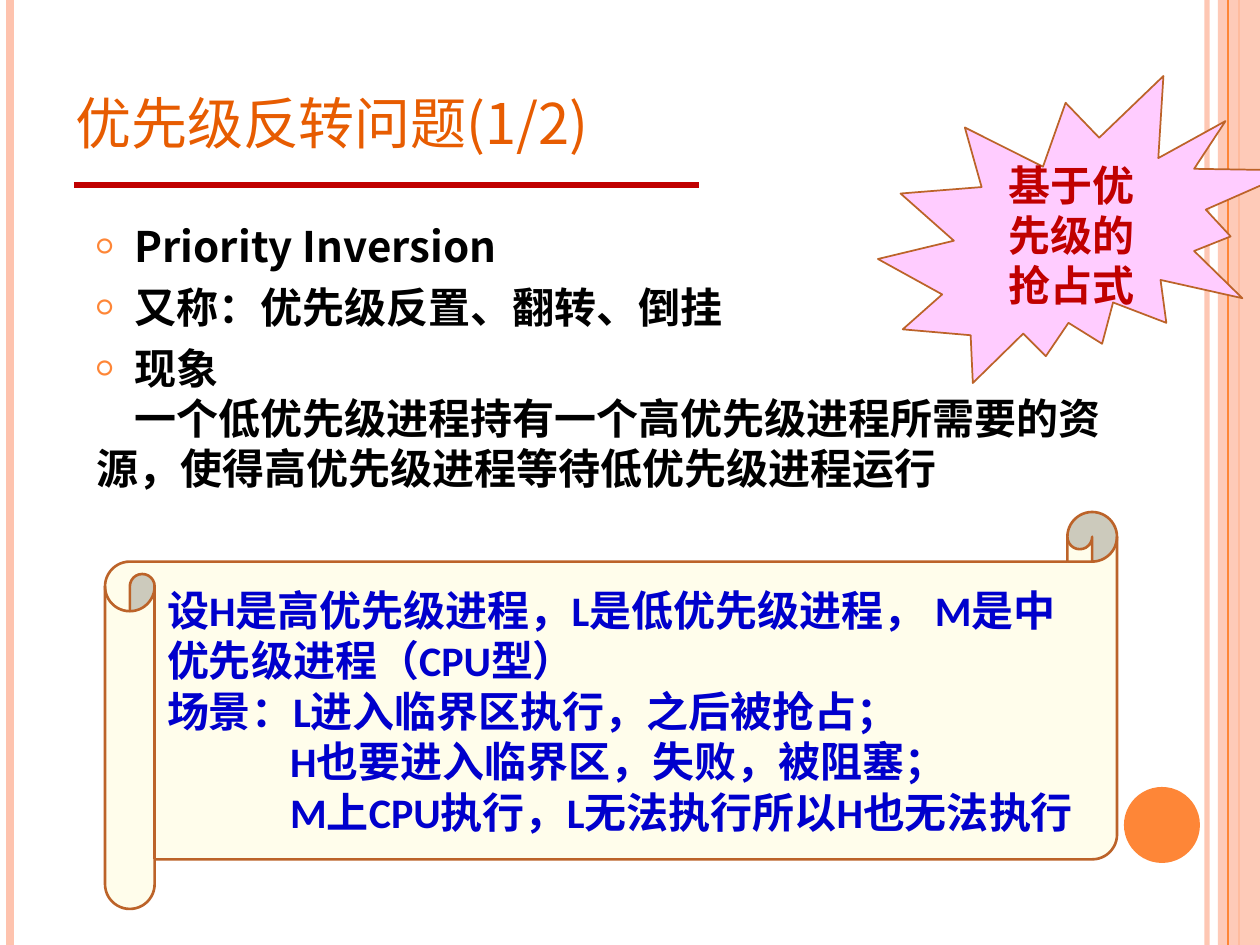
from lxml.etree import SubElement
from pptx import Presentation
from pptx.dml.color import RGBColor
from pptx.enum.shapes import MSO_CONNECTOR as CONN, MSO_SHAPE as SHAPE
from pptx.enum.text import MSO_ANCHOR as ANCHOR, MSO_AUTO_SIZE as AUTO, PP_ALIGN as ALIGN
from pptx.oxml.ns import qn
from pptx.util import Pt

THEME = {
    "cjk": "Noto Sans CJK SC", "latin": "Calibri",
    "title_size": 40, "text_size": 24,
    "title": "E75C01", "body": "000000", "note": "0000CC", "alert": "C00000",
    "pale": "FEC3AE", "accent": "FE8637", "outline": "BC6329",
    "star": "FFCCFF", "scroll": "FFFDEB",
}
SLIDE = (1260, 945)
INDENT = 38
SCENE_INDENT = 123

TITLE = "优先级反转问题(1/2)"
BODY = [
    ("Priority Inversion", True, 0),
    ("又称：优先级反置、翻转、倒挂", True, 6),
    ("现象", True, 6),
    ("一个低优先级进程持有一个高优先级进程所需要的资源，使得高优先级进程等待低优先级进程运行", False, 0),
]
STAR = ["基于优先级的", "抢占式"]
SCROLL = [
    ("设H是高优先级进程，L是低优先级进程， M是中优先级进程（CPU型）", 0),
    ("场景：L进入临界区执行，之后被抢占；", 0),
    ("H也要进入临界区，失败，被阻塞；", SCENE_INDENT),
    ("M上CPU执行，L无法执行所以H也无法执行", SCENE_INDENT),
]
RAILS = [(1207, "pale", 3, 93), (10, "pale", 4.5, 100), (1239, "accent", 1.5, 100)]
BAND = (1218, 0, 42, SLIDE[1])
INNER_RAIL = (1228, "accent", 0.75, 100)
DOT = (1124, 787, 76, 76)
RULE = (74, 185, 699, 185)
TITLE_BOX = (63, 38, 1029, 127)
BODY_BOX = (84, 214, 1053, 330)
STAR_BOX = (878, 76, 417, 307)
SCROLL_BOX = (105, 512, 1012, 397)


def px(n):
    return round(n * 914400 / 126)


def rgb(key):
    return RGBColor.from_string(THEME[key])


def set_alpha(sp, percent):
    if percent < 100:
        color = next(sp.element.spPr.iter(qn("a:srgbClr")))
        SubElement(color, qn("a:alpha"), val=str(percent * 1000))


def add_line(s, box, color, width, alpha=100):
    line = s.shapes.add_connector(CONN.STRAIGHT, *map(px, box))
    line.line.color.rgb = rgb(color)
    line.line.width = Pt(width)
    set_alpha(line, alpha)
    SubElement(line.element.spPr, qn("a:effectLst"))


def add_rail(s, x, color, width, alpha):
    add_line(s, (x, 0, x, SLIDE[1]), color, width, alpha)


def add_block(s, kind, box, fill, outline=0, alpha=100):
    sp = s.shapes.add_shape(kind, *map(px, box))
    sp.shadow.inherit = False
    sp.fill.solid()
    sp.fill.fore_color.rgb = rgb(fill)
    set_alpha(sp, alpha)
    if outline:
        sp.line.color.rgb = rgb("outline")
        sp.line.width = Pt(outline)
    else:
        sp.line.fill.background()
    return sp


def place(sp, box):
    for name, value in zip(("left", "top", "width", "height"), box):
        setattr(sp, name, px(value))
    sp.element.getparent().append(sp.element)


def set_frame(sp, anchor):
    tf = sp.text_frame
    for name, value in {"word_wrap": True, "auto_size": AUTO.NONE, "vertical_anchor": anchor}.items():
        setattr(tf, name, value)
    return tf


def add_text(tf, i, text, color, size="text_size", font="cjk", bold=True, align=ALIGN.LEFT, before=0, margin=0, indent=0):
    p = tf.paragraphs[0] if i == 0 else tf.add_paragraph()
    for name, value in {"alignment": align, "space_before": Pt(before), "space_after": Pt(0), "line_spacing": 1.0}.items():
        setattr(p, name, value)
    pPr = p._p.get_or_add_pPr()
    pPr.set("marL", str(px(margin)))
    pPr.set("indent", str(px(indent)))
    r = p.add_run()
    r.text = text
    for name, value in {"size": Pt(THEME[size]), "bold": bold, "name": THEME[font]}.items():
        setattr(r.font, name, value)
    r.font.color.rgb = rgb(color)
    rPr = r._r.get_or_add_rPr()
    SubElement(rPr, qn("a:ea"), typeface=THEME["cjk"])
    return pPr, rPr


def add_bullet(pPr):
    color = SubElement(pPr, qn("a:buClr"))
    SubElement(color, qn("a:srgbClr"), val=THEME["accent"])
    SubElement(pPr, qn("a:buSzPct"), val="70000")
    SubElement(pPr, qn("a:buFont"), typeface=THEME["latin"])
    SubElement(pPr, qn("a:buChar"), char="○")


def main():
    prs = Presentation()
    prs.slide_width, prs.slide_height = map(px, SLIDE)
    s = prs.slides.add_slide(prs.slide_layouts[1])

    for rail in RAILS:
        add_rail(s, *rail)
    add_block(s, SHAPE.RECTANGLE, BAND, "pale", alpha=87)
    add_rail(s, *INNER_RAIL)
    add_block(s, SHAPE.OVAL, DOT, "accent")
    add_line(s, RULE, "alert", 3)

    title, body = s.placeholders
    place(title, TITLE_BOX)
    tf = set_frame(title, ANCHOR.BOTTOM)
    _, rPr = add_text(tf, 0, TITLE, "title", "title_size", bold=False)
    rPr.set("cap", "small")

    place(body, BODY_BOX)
    tf = set_frame(body, ANCHOR.TOP)
    for i, (text, bullet, before) in enumerate(BODY):
        margin, indent = (INDENT, -INDENT) if bullet else (0, INDENT)
        pPr, _ = add_text(tf, i, text, "body", before=before, margin=margin, indent=indent)
        if bullet:
            add_bullet(pPr)
        else:
            SubElement(pPr, qn("a:buNone"))

    tf = set_frame(add_block(s, SHAPE.EXPLOSION2, STAR_BOX, "star", 1), ANCHOR.MIDDLE)
    for i, text in enumerate(STAR):
        add_text(tf, i, text, "alert", align=ALIGN.CENTER)

    tf = set_frame(add_block(s, SHAPE.HORIZONTAL_SCROLL, SCROLL_BOX, "scroll", 1.5), ANCHOR.MIDDLE)
    for i, (text, indent) in enumerate(SCROLL):
        add_text(tf, i, text, "note", font="latin", indent=indent)

    prs.save("out.pptx")


if __name__ == "__main__":
    main()
